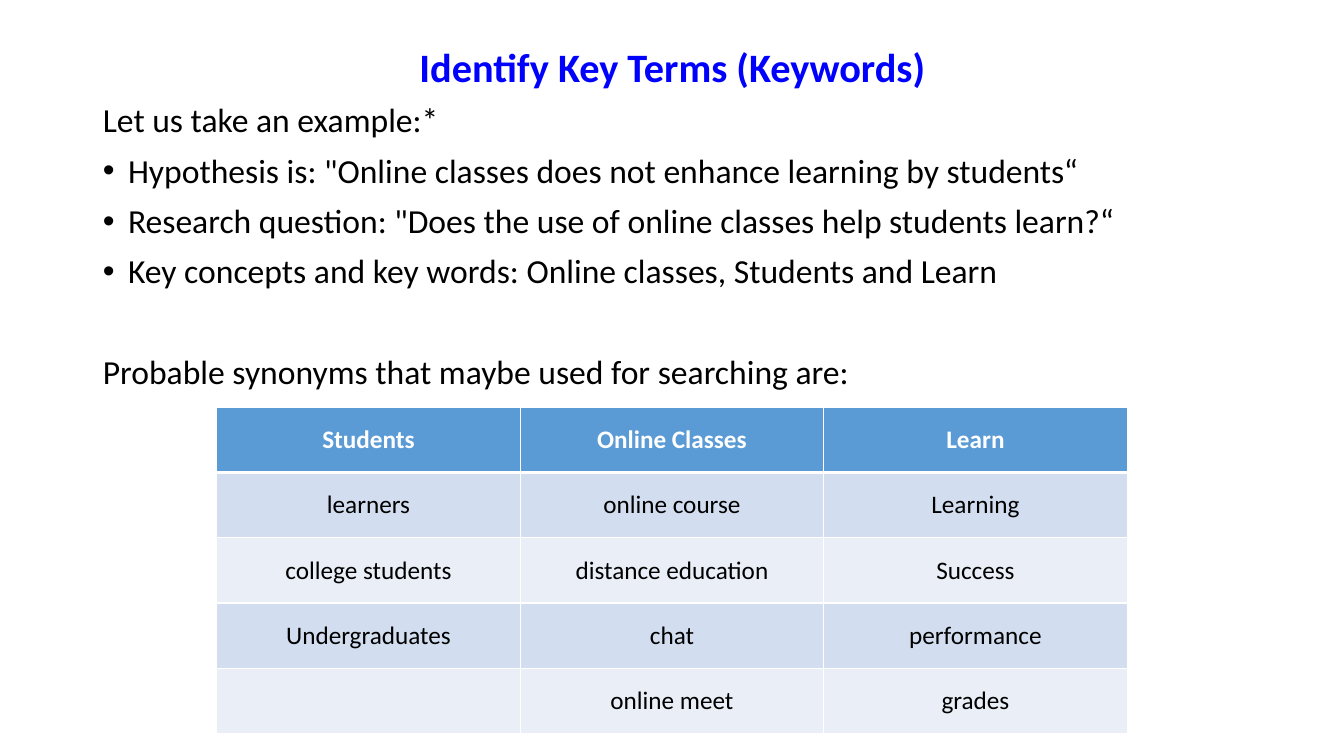
from lxml import etree
from pptx import Presentation
from pptx import util as u
from pptx.dml.color import RGBColor
from pptx.enum import text
from pptx.oxml import ns

FONT = "Calibri"
COLORS = {"title": "0000FF", "ink": "000000", "white": "FFFFFF",
          "header": "5B9BD5", "odd": "D2DEEF", "even": "EAEFF7"}

# (wording, bulleted, space before in points)
EXAMPLE = [
    ("Let us take an example:*", False, 0),
    ('Hypothesis is: "Online classes does not enhance learning by students“', True, 10),
    ('Research question: "Does the use of online classes help students learn?“', True, 10),
    ("Key concepts and key words: Online classes, Students and Learn", True, 10),
    ("Probable synonyms that maybe used for searching are:", False, 46),
]
SYNONYMS = [
    ("Students", "Online Classes", "Learn"),
    ("learners", "online course", "Learning"),
    ("college students", "distance education", "Success"),
    ("Undergraduates", "chat", "performance"),
    ("", "online meet", "grades"),
]


def rgb(name):
    return RGBColor.from_string(COLORS[name])


def style(paragraph, size, color, bold=False):
    font = paragraph.font
    font.name, font.size, font.bold = FONT, u.Pt(size), bold
    font.color.rgb = rgb(color)


def place(holder, box, anchor):
    holder.left, holder.top, holder.width, holder.height = map(u.Inches, box)
    frame = holder.text_frame
    frame.word_wrap = True
    frame.auto_size = text.MSO_AUTO_SIZE.NONE
    frame.vertical_anchor = anchor
    return frame


def set_bullet(paragraph, bulleted):
    props = paragraph._p.get_or_add_pPr()
    indent = u.Inches(0.25) if bulleted else 0
    props.set("marL", str(indent))
    props.set("indent", str(-indent))
    if bulleted:
        etree.SubElement(props, ns.qn("a:buFont"), typeface="Arial")
        etree.SubElement(props, ns.qn("a:buChar"), char="•")
    else:
        etree.SubElement(props, ns.qn("a:buNone"))


def set_borders(cell, widths):
    props = cell._tc.get_or_add_tcPr()
    for position, (side, width) in enumerate(widths.items()):
        line = etree.Element(ns.qn(f"a:ln{side}"), w=str(u.Pt(width)))
        fill = etree.SubElement(line, ns.qn("a:solidFill"))
        etree.SubElement(fill, ns.qn("a:srgbClr"), val=COLORS["white"])
        props.insert(position, line)


def add_title(slide, box):
    frame = place(slide.shapes.title, box, text.MSO_ANCHOR.MIDDLE)
    heading = frame.paragraphs[0]
    heading.text = "Identify Key Terms (Keywords)"
    heading.alignment = text.PP_ALIGN.CENTER
    heading.line_spacing = 0.9
    style(heading, 28.8, "title", bold=True)


def add_example(slide, box):
    frame = place(slide.placeholders[1], box, text.MSO_ANCHOR.TOP)
    for index, (wording, bulleted, gap) in enumerate(EXAMPLE):
        point = frame.add_paragraph() if index else frame.paragraphs[0]
        point.text = wording
        set_bullet(point, bulleted)
        point.line_spacing = 0.9
        point.space_before = u.Pt(gap)
        style(point, 24, "ink")


def add_synonyms(slide, box):
    table = slide.shapes.add_table(len(SYNONYMS), len(SYNONYMS[0]),
                                   *map(u.Inches, box)).table
    for r, terms in enumerate(SYNONYMS):
        header = r == 0
        band = "header" if header else "odd" if r % 2 else "even"
        for c, term in enumerate(terms):
            cell = table.cell(r, c)
            cell.fill.solid()
            cell.fill.fore_color.rgb = rgb(band)
            # The rule under the header row is heavier
            set_borders(cell, {"L": 1, "R": 1, "T": 3 if r == 1 else 1,
                               "B": 3 if header else 1})
            cell.vertical_anchor = text.MSO_ANCHOR.MIDDLE
            entry = cell.text_frame.paragraphs[0]
            entry.text = term
            entry.alignment = text.PP_ALIGN.CENTER
            style(entry, 18, "white" if header else "ink", bold=header)


def main():
    deck = Presentation()
    deck.slide_width, deck.slide_height = u.Inches(13.33), u.Inches(7.5)
    slide = deck.slides.add_slide(deck.slide_layouts[1])
    add_title(slide, (0.92, 0.4, 11.5, 0.58))
    add_example(slide, (0.92, 0.98, 11.5, 5.78))
    add_synonyms(slide, (2.15, 4.04, 9.03, 3.24))
    deck.save("out.pptx")


if __name__ == "__main__":
    main()
